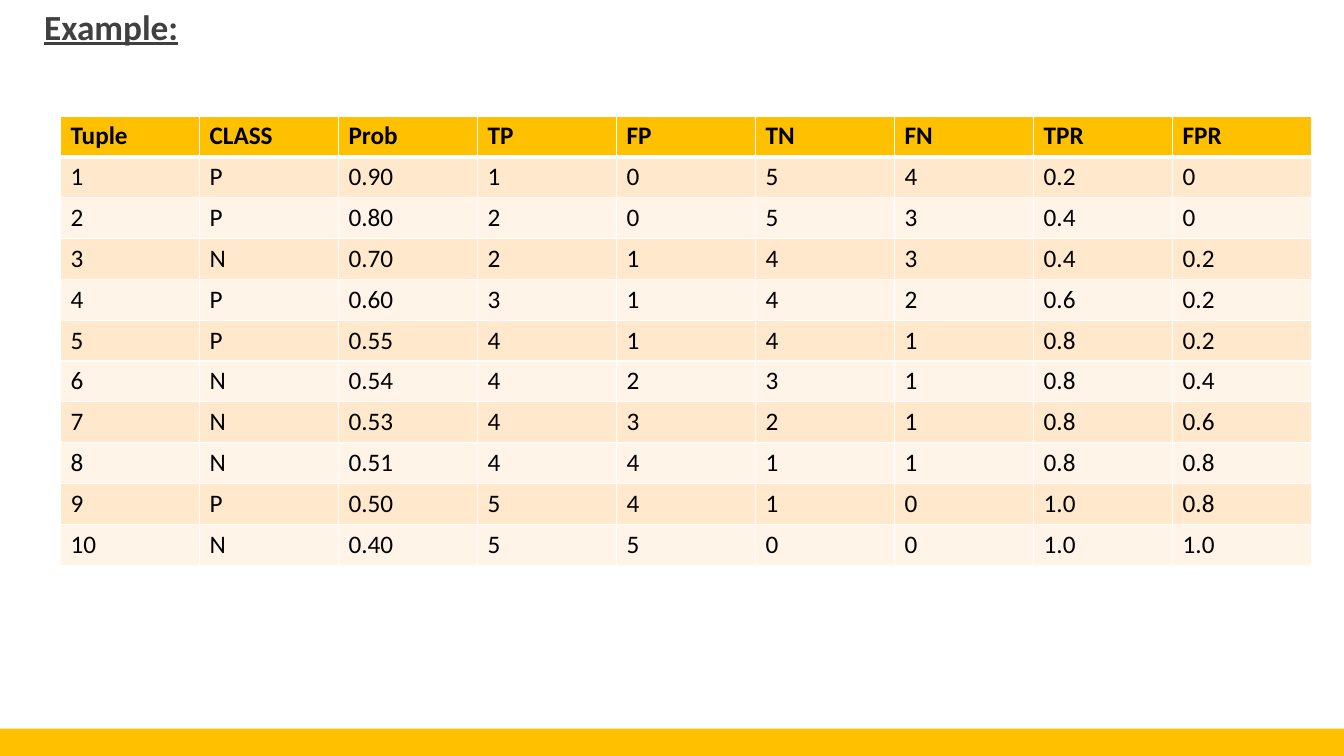
from lxml import etree
from pptx import Presentation
from pptx.dml.color import RGBColor
from pptx.enum.shapes import MSO_SHAPE as SHAPE
from pptx.enum.text import MSO_ANCHOR as ANCHOR, PP_ALIGN as ALIGN
from pptx.oxml.ns import qn
from pptx.util import Inches, Pt

TITLE = "Example:"
HEADER = ("Tuple", "CLASS", "Prob", "TP", "FP", "TN", "FN", "TPR", "FPR")
ROWS = [
    ("1", "P", "0.90", "1", "0", "5", "4", "0.2", "0"),
    ("2", "P", "0.80", "2", "0", "5", "3", "0.4", "0"),
    ("3", "N", "0.70", "2", "1", "4", "3", "0.4", "0.2"),
    ("4", "P", "0.60", "3", "1", "4", "2", "0.6", "0.2"),
    ("5", "P", "0.55", "4", "1", "4", "1", "0.8", "0.2"),
    ("6", "N", "0.54", "4", "2", "3", "1", "0.8", "0.4"),
    ("7", "N", "0.53", "4", "3", "2", "1", "0.8", "0.6"),
    ("8", "N", "0.51", "4", "4", "1", "1", "0.8", "0.8"),
    ("9", "P", "0.50", "5", "4", "1", "0", "1.0", "0.8"),
    ("10", "N", "0.40", "5", "5", "0", "0", "1.0", "1.0"),
]
FONT = "Calibri"
GOLD, BANDS = "FFC000", ("FFF4E7", "FFE8CC")
WHITE, BLACK, GREY = "FFFFFF", "000000", "404040"


def paint(fill, color):
    fill.solid()
    fill.fore_color.rgb = RGBColor.from_string(color)


def style(font, size, color, bold):
    font.name, font.size, font.bold = FONT, Pt(size), bold
    font.color.rgb = RGBColor.from_string(color)


def set_borders(cell, top, bottom):
    """Draw white borders, 1 pt at the sides; must run before the cell is filled."""
    tc_pr = cell._tc.get_or_add_tcPr()
    for side, width in (("L", 1), ("R", 1), ("T", top), ("B", bottom)):
        ln = etree.SubElement(tc_pr, qn(f"a:ln{side}"), w=str(Pt(width)))
        fill = etree.SubElement(ln, qn("a:solidFill"))
        etree.SubElement(fill, qn("a:srgbClr"), val=WHITE)


def add_title(s):
    tf = s.shapes.add_textbox(Inches(0.34), Inches(0.08), Inches(9.14), Inches(0.36)).text_frame
    tf.word_wrap = True
    tf.vertical_anchor = ANCHOR.MIDDLE
    p = tf.paragraphs[0]
    p.text, p.alignment = TITLE, ALIGN.JUSTIFY
    style(p.font, 25.2, GREY, True)
    p.font.underline = True


def add_results(s):
    rows = [HEADER, *ROWS]
    table = s.shapes.add_table(len(rows), len(HEADER), Inches(0.6), Inches(1.15),
                               Inches(12.41), Inches(4.46)).table
    for i, row in enumerate(rows):
        for j, text in enumerate(row):
            cell = table.cell(i, j)
            set_borders(cell, top=3 if i == 1 else 1, bottom=3 if i == 0 else 1)
            paint(cell.fill, BANDS[i % 2] if i else GOLD)
            p = cell.text_frame.paragraphs[0]
            p.text = text
            style(p.font, 18, BLACK, i == 0)


def main():
    prs = Presentation()
    prs.slide_width, prs.slide_height = Inches(13.33), Inches(7.5)
    s = prs.slides.add_slide(prs.slide_layouts[6])
    bar = s.shapes.add_shape(SHAPE.RECTANGLE, Inches(-0.02), Inches(7.23),
                             Inches(13.35), Inches(0.27))
    bar.shadow.inherit = False
    paint(bar.fill, GOLD)
    bar.line.fill.background()
    add_title(s)
    add_results(s)
    prs.save("out.pptx")


if __name__ == "__main__":
    main()
